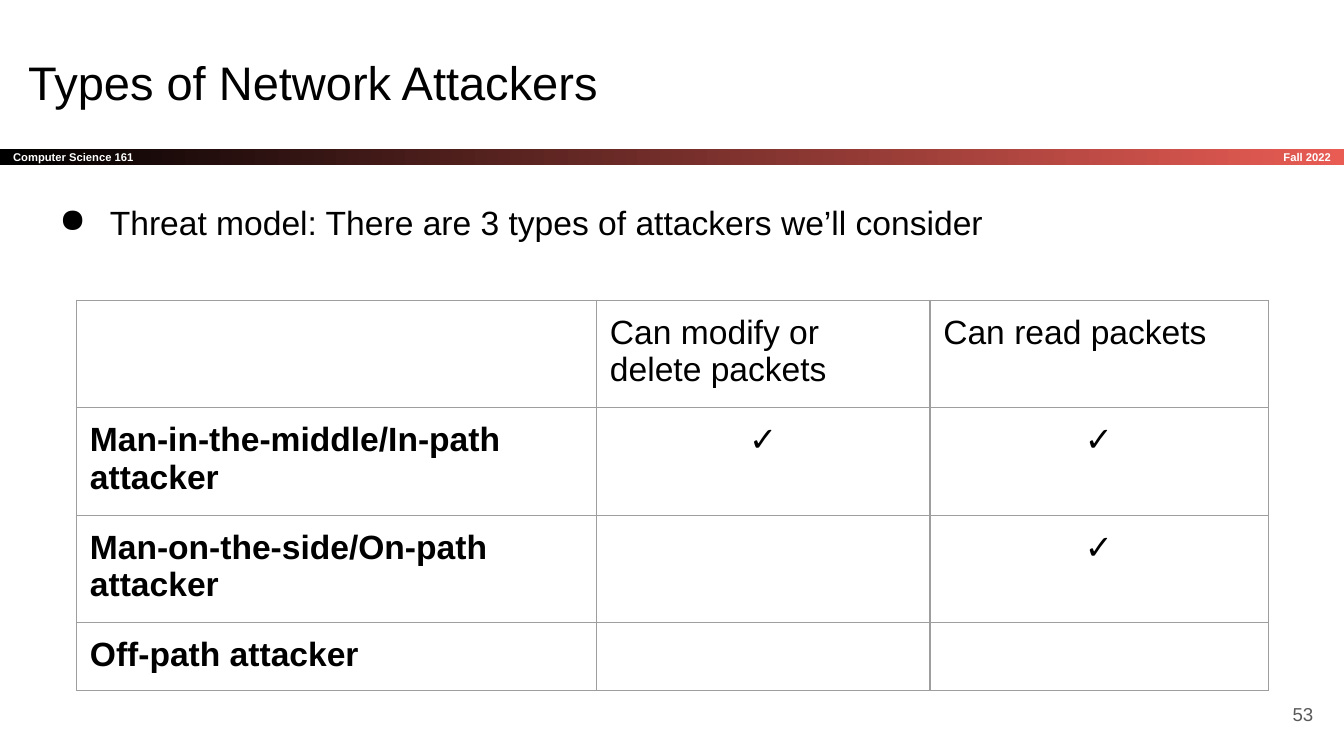
"""Builds the slide on types of network attackers."""
import lxml.etree
import pptx
import pptx.dml.color
import pptx.enum.shapes
import pptx.enum.text
import pptx.oxml.ns
import pptx.util

Pt = pptx.util.Pt
RGBColor = pptx.dml.color.RGBColor
ALIGN = pptx.enum.text.PP_ALIGN
ANCHOR = pptx.enum.text.MSO_ANCHOR
qn = pptx.oxml.ns.qn

BLACK = RGBColor(0x00, 0x00, 0x00)
WHITE = RGBColor(0xFF, 0xFF, 0xFF)
RED = RGBColor(0xE8, 0x5C, 0x54)
GRAY = RGBColor(0x59, 0x59, 0x59)
RULE = RGBColor(0x9E, 0x9E, 0x9E)

FONT = "Arial"
BODY_SIZE = 18
INSET = Pt(7.2)

TITLE = "Types of Network Attackers"
COURSE = "Computer Science 161"
TERM = "Fall 2022"
PAGE = "53"
THREAT_MODEL = "Threat model: There are 3 types of attackers we’ll consider"
ABILITIES = ["", "Can modify or delete packets", "Can read packets"]
ATTACKERS = [
    ("Man-in-the-middle/In-path attacker", "✓", "✓"),
    ("Man-on-the-side/On-path attacker", "", "✓"),
    ("Off-path attacker", "", ""),
]
COLUMN_WIDTHS = [278.6, 178.6, 181.2]
ROW_HEIGHTS = [54.6, 54.6, 54.6, 34.8]


def add_run(paragraph, text, size, color=BLACK, bold=False):
    run = paragraph.add_run()
    run.text = text
    run.font.name = FONT
    run.font.size = Pt(size)
    run.font.bold = bold
    run.font.color.rgb = color


def fill_frame(frame, text, size, color=BLACK, bold=False, align=ALIGN.LEFT, anchor=ANCHOR.TOP):
    frame.word_wrap = True
    frame.vertical_anchor = anchor
    frame.margin_left = frame.margin_right = INSET
    frame.margin_top = frame.margin_bottom = INSET
    paragraph = frame.paragraphs[0]
    paragraph.alignment = align
    add_run(paragraph, text, size, color, bold)
    return paragraph


def add_text(slide, box, *content, **style):
    frame = slide.shapes.add_textbox(*map(Pt, box)).text_frame
    return fill_frame(frame, *content, **style)


def add_bullet(paragraph, mark):
    properties = paragraph._p.get_or_add_pPr()
    properties.set("marL", str(Pt(36)))
    properties.set("indent", str(-Pt(27)))
    color = lxml.etree.SubElement(properties, qn("a:buClr"))
    lxml.etree.SubElement(color, qn("a:srgbClr"), val=str(BLACK))
    lxml.etree.SubElement(properties, qn("a:buChar"), char=mark)


def add_borders(cell):
    properties = cell._tc.get_or_add_tcPr()
    for side in ("a:lnL", "a:lnR", "a:lnT", "a:lnB"):
        line = lxml.etree.SubElement(properties, qn(side), w=str(Pt(0.75)))
        fill = lxml.etree.SubElement(line, qn("a:solidFill"))
        lxml.etree.SubElement(fill, qn("a:srgbClr"), val=str(RULE))


def add_banner(slide):
    banner = slide.shapes.add_shape(
        pptx.enum.shapes.MSO_SHAPE.RECTANGLE, Pt(0), Pt(80), Pt(720), Pt(8.6))
    banner.shadow.inherit = False
    banner.line.fill.background()
    banner.fill.gradient()
    banner.fill.gradient_angle = 0
    for stop, color, position in zip(banner.fill.gradient_stops, (BLACK, RED), (0, 1)):
        stop.color.rgb = color
        stop.position = position
    fill_frame(banner.text_frame, COURSE, 6, WHITE, True, anchor=ANCHOR.MIDDLE)
    add_text(slide, (600.5, 80, 119.5, 8.6), TERM, 6, WHITE, True,
             align=ALIGN.RIGHT, anchor=ANCHOR.MIDDLE)


def add_attackers(slide):
    rows = [ABILITIES, *ATTACKERS]
    table = slide.shapes.add_table(
        len(rows), len(ABILITIES), Pt(41), Pt(160.8),
        Pt(sum(COLUMN_WIDTHS)), Pt(sum(ROW_HEIGHTS))).table
    table.first_row = table.horz_banding = False
    for column, width in zip(table.columns, COLUMN_WIDTHS):
        column.width = Pt(width)
    for r, (texts, height) in enumerate(zip(rows, ROW_HEIGHTS)):
        table.rows[r].height = Pt(height)
        for c, text in enumerate(texts):
            cell = table.cell(r, c)
            add_borders(cell)
            cell.fill.background()
            cell.margin_left = cell.margin_right = INSET
            cell.margin_top = cell.margin_bottom = INSET
            paragraph = cell.text_frame.paragraphs[0]
            if text:
                paragraph.alignment = ALIGN.CENTER if r and c else ALIGN.LEFT
                add_run(paragraph, text, BODY_SIZE, bold=r > 0 and c == 0)
            else:
                paragraph.font.size = Pt(BODY_SIZE)


def main():
    presentation = pptx.Presentation()
    presentation.slide_width, presentation.slide_height = Pt(720), Pt(405)
    slide = presentation.slides.add_slide(presentation.slide_layouts[6])
    add_banner(slide)
    add_text(slide, (8, 21.6, 671, 45.4), TITLE, 25.2)
    add_text(slide, (667.4, 367.2, 43.2, 31), PAGE, 10, GRAY,
             align=ALIGN.RIGHT, anchor=ANCHOR.MIDDLE)
    add_attackers(slide)
    threat_model = add_text(slide, (15.8, 97.9, 671, 131.8), THREAT_MODEL, BODY_SIZE)
    threat_model.line_spacing = 1.15
    add_bullet(threat_model, "●")
    presentation.save("out.pptx")


if __name__ == "__main__":
    main()
